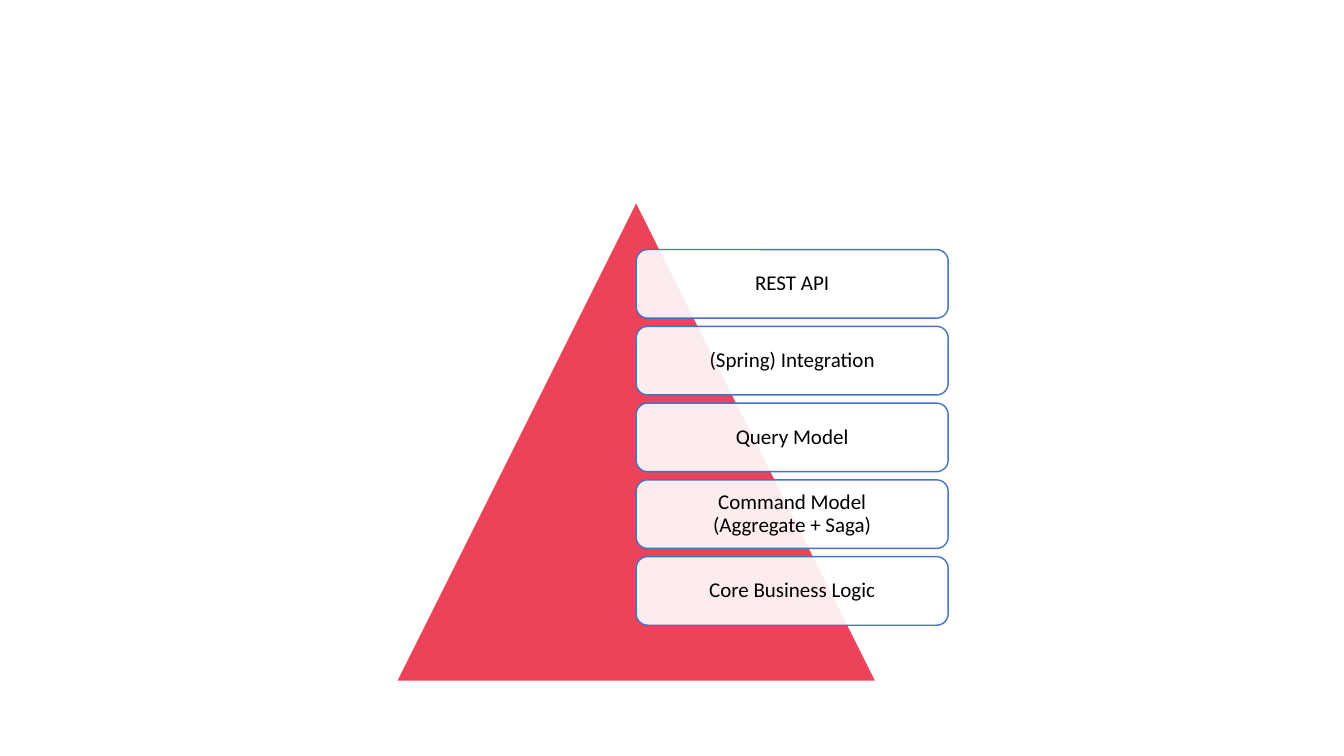
"""Build a slide with a pyramid and its stack of architecture layers."""
from lxml import etree
from pptx import Presentation
from pptx.dml.color import RGBColor
from pptx.enum.shapes import MSO_SHAPE
from pptx.enum.text import MSO_ANCHOR, PP_ALIGN
from pptx.oxml.ns import qn
from pptx.util import Inches, Pt

TRIANGLE = MSO_SHAPE.ISOSCELES_TRIANGLE
ROUNDED = MSO_SHAPE.ROUNDED_RECTANGLE
MIDDLE = MSO_ANCHOR.MIDDLE
CENTER = PP_ALIGN.CENTER

COLORS = {"pyramid": "EB445A", "white": "FFFFFF", "border": "4472C4", "text": "000000"}
FONT = "Calibri"
BLANK_LAYOUT = 6
SLIDE_WIDTH, SLIDE_HEIGHT = 13.33, 7.5

PYRAMID_LEFT, PYRAMID_TOP, PYRAMID_SIZE = 3.93, 2, 4.76
LAYER_LEFT = PYRAMID_LEFT + PYRAMID_SIZE / 2
LAYER_TOP = PYRAMID_TOP + 0.1 * PYRAMID_SIZE
LAYER_WIDTH = 0.65 * PYRAMID_SIZE
LAYER_HEIGHT = PYRAMID_SIZE / 7
LAYER_PITCH = 0.16 * PYRAMID_SIZE
LAYERS = [
    "REST API",
    "(Spring) Integration",
    "Query Model",
    "Command Model\n(Aggregate + Saga)",
    "Core Business Logic",
]


def add_outlined_shape(slide, kind, box, fill, line):
    """Add a preset shape with a solid fill and a one-point outline."""
    shape = slide.shapes.add_shape(kind, *(Inches(length) for length in box))
    shape.shadow.inherit = False
    shape.fill.solid()
    shape.fill.fore_color.rgb = RGBColor.from_string(COLORS[fill])
    shape.line.color.rgb = RGBColor.from_string(COLORS[line])
    shape.line.width = Pt(1)
    return shape


def set_opacity(shape, percent):
    """Make the solid fill of a shape partly transparent."""
    color = shape.fill._xPr.find(qn("a:solidFill"))[0]
    etree.SubElement(color, qn("a:alpha")).set("val", str(percent * 1000))


def add_layer(slide, row, label):
    """Add one labelled layer in the given row of the stack."""
    box = (LAYER_LEFT, LAYER_TOP + row * LAYER_PITCH, LAYER_WIDTH, LAYER_HEIGHT)
    shape = add_outlined_shape(slide, ROUNDED, box, "white", "border")
    set_opacity(shape, 90)
    frame = shape.text_frame
    frame.word_wrap = True
    frame.vertical_anchor = MIDDLE
    frame.margin_left = frame.margin_right = Inches(0.06)
    frame.margin_top = frame.margin_bottom = Inches(0.06)
    paragraph = frame.paragraphs[0]
    paragraph.text = label
    paragraph.alignment = CENTER
    paragraph.line_spacing = 0.9
    paragraph.font.name = FONT
    paragraph.font.size = Pt(15)
    paragraph.font.color.rgb = RGBColor.from_string(COLORS["text"])


def main():
    """Create the presentation and save it."""
    presentation = Presentation()
    presentation.slide_width = Inches(SLIDE_WIDTH)
    presentation.slide_height = Inches(SLIDE_HEIGHT)
    slide = presentation.slides.add_slide(presentation.slide_layouts[BLANK_LAYOUT])
    pyramid_box = (PYRAMID_LEFT, PYRAMID_TOP, PYRAMID_SIZE, PYRAMID_SIZE)
    add_outlined_shape(slide, TRIANGLE, pyramid_box, "pyramid", "white")
    for row, label in enumerate(LAYERS):
        add_layer(slide, row, label)
    presentation.save("out.pptx")


if __name__ == "__main__":
    main()
